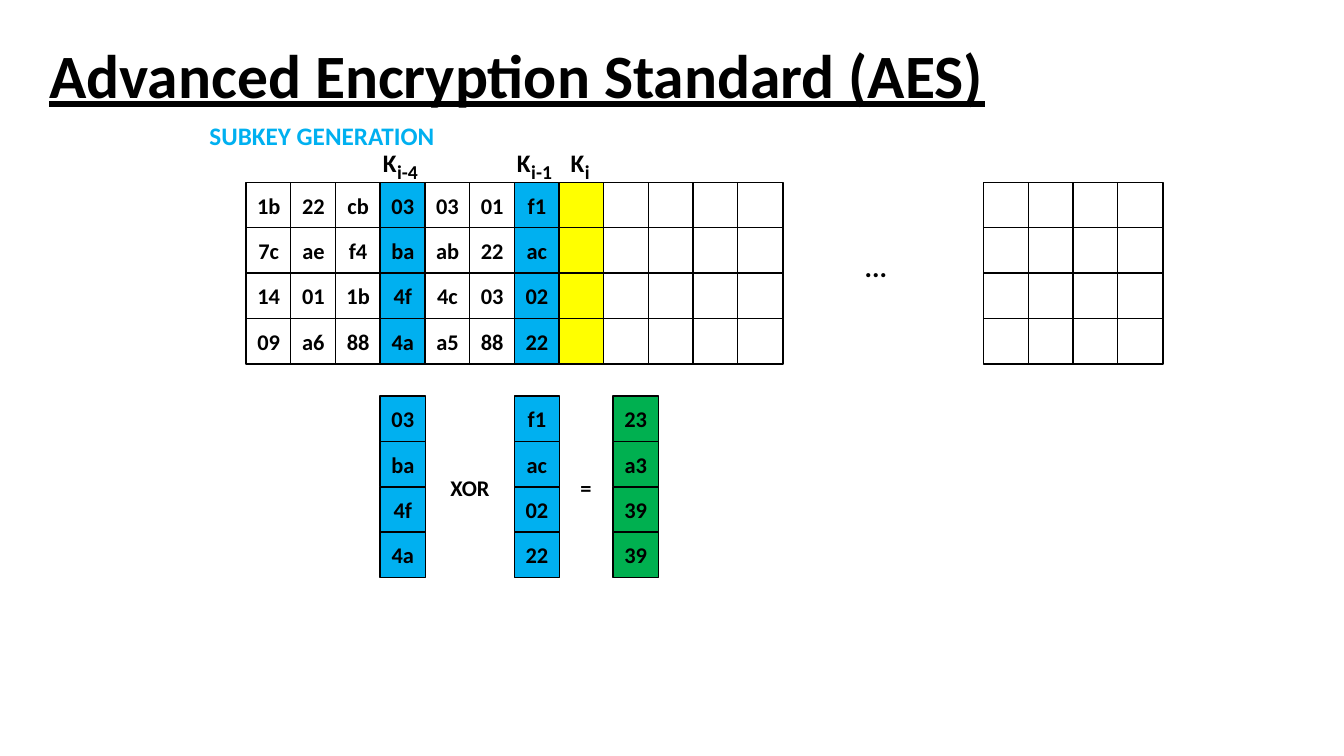
import pptx
import pptx.dml.color
import pptx.enum.shapes
import pptx.enum.text
import pptx.util

RGB = pptx.dml.color.RGBColor
BLACK = RGB(0x00, 0x00, 0x00)
WHITE = RGB(0xFF, 0xFF, 0xFF)
BLUE = RGB(0x00, 0xB0, 0xF0)
YELLOW = RGB(0xFF, 0xFF, 0x00)
GREEN = RGB(0x00, 0xB0, 0x50)

GRID_LEFT, GRID_TOP = 2.44, 1.81
COL, ROW = 1.33 / 3, 0.45
CELL = pptx.util.Inches(0.45)

KEY_COLUMNS = [
    "1b 7c 14 09", "22 ae 01 a6", "cb f4 1b 88", "03 ba 4f 4a",
    "03 ab 4c a5", "01 22 03 88", "f1 ac 02 22",
]
OLD_KEY, LAST_KEY, NEW_KEY, KEY_COUNT = 3, 6, 7, 12
FINAL_KEYS = 16.5
EMPTY = " " * 3
XOR_ROW = 4.71


def x(col):
    """Return the horizontal place of a grid column."""
    return pptx.util.Inches(GRID_LEFT + col * COL)


def y(row):
    """Return the vertical place of a grid row."""
    return pptx.util.Inches(GRID_TOP + row * ROW)


def write(tf, text, size, color=BLACK, **formats):
    """Write one bold run in a text frame and return its paragraph."""
    p = tf.paragraphs[0]
    r = p.add_run()
    r.text = text
    r.font.color.rgb = color
    values = {"name": "Calibri", "size": pptx.util.Pt(size), "bold": True}
    for key, value in {**values, **formats}.items():
        setattr(r.font, key, value)
    return p


def add_title(s, text):
    """Place and format the slide title."""
    sp = s.shapes.title
    place = {"left": 0.39, "top": 0.05, "width": 11.5, "height": 1.45}
    for key, value in place.items():
        setattr(sp, key, pptx.util.Inches(value))
    tf = sp.text_frame
    tf.auto_size = pptx.enum.text.MSO_AUTO_SIZE.NONE
    tf.vertical_anchor = pptx.enum.text.MSO_ANCHOR.MIDDLE
    p = write(tf, text, 44, underline=True)
    p.alignment = pptx.enum.text.PP_ALIGN.LEFT
    p.line_spacing = 0.9


def add_label(s, text, col, row, cols, rows, size, color=BLACK):
    """Add an unwrapped label measured in grid columns and rows."""
    sp = s.shapes.add_textbox(
        x(col), y(row), pptx.util.Inches(cols * COL), pptx.util.Inches(rows * ROW))
    tf = sp.text_frame
    tf.word_wrap = False
    tf.auto_size = pptx.enum.text.MSO_AUTO_SIZE.SHAPE_TO_FIT_TEXT
    write(tf, text, size, color)


def add_key_name(s, index, col, cols):
    """Add a letter K with its lowered index."""
    add_label(s, "K", col, -0.89, 0.77, 0.89, 18)
    add_label(s, index, col + 0.32, -0.6, cols, 0.76, 14)


def add_cell(s, col, row, text, fill):
    """Add one byte cell."""
    sp = s.shapes.add_shape(
        pptx.enum.shapes.MSO_SHAPE.RECTANGLE, x(col), y(row), CELL, CELL)
    sp.shadow.inherit = False
    sp.fill.solid()
    sp.fill.fore_color.rgb = fill
    sp.line.color.rgb = BLACK
    sp.line.width = pptx.util.Pt(1)
    if text:
        p = write(sp.text_frame, text, 16)
        p.alignment = pptx.enum.text.PP_ALIGN.CENTER


def add_column(s, col, row, values, fill=WHITE):
    """Add a column of four byte cells."""
    for i, text in enumerate(values.split(" ")):
        add_cell(s, col, row + i, text, fill)


def main():
    """Build the subkey generation slide."""
    prs = pptx.Presentation()
    prs.slide_width = pptx.util.Inches(13.33)
    prs.slide_height = pptx.util.Inches(7.5)
    s = prs.slides.add_slide(prs.slide_layouts[5])
    add_title(s, "Advanced Encryption Standard (AES)")
    add_label(s, "SUBKEY GENERATION", -1.04, -1.47, 5.53, 0.89, 18, BLUE)

    fills = {OLD_KEY: BLUE, LAST_KEY: BLUE, NEW_KEY: YELLOW}
    for col in range(KEY_COUNT):
        values = KEY_COLUMNS[col] if col < len(KEY_COLUMNS) else EMPTY
        add_column(s, col, 0, values, fills.get(col, WHITE))
    for col in range(4):
        add_column(s, FINAL_KEYS + col, 0, EMPTY)
    add_label(s, "...", 13.62, 1.36, 0.97, 0.97, 20)

    for index, col, cols in (("i", 7.04, 0.56), ("i-1", 5.84, 0.92), ("i-4", 2.84, 0.92)):
        add_key_name(s, index, col, cols)

    for col in (OLD_KEY, LAST_KEY):
        add_column(s, col, XOR_ROW, KEY_COLUMNS[col], BLUE)
    add_label(s, "XOR", 4.35, 6.31, 1.35, 0.82, 16)
    add_label(s, "=", 7.26, 6.31, 0.7, 0.82, 16)
    add_column(s, 8.21, XOR_ROW, "23 a3 39 39", GREEN)
    prs.save("out.pptx")


if __name__ == "__main__":
    main()
